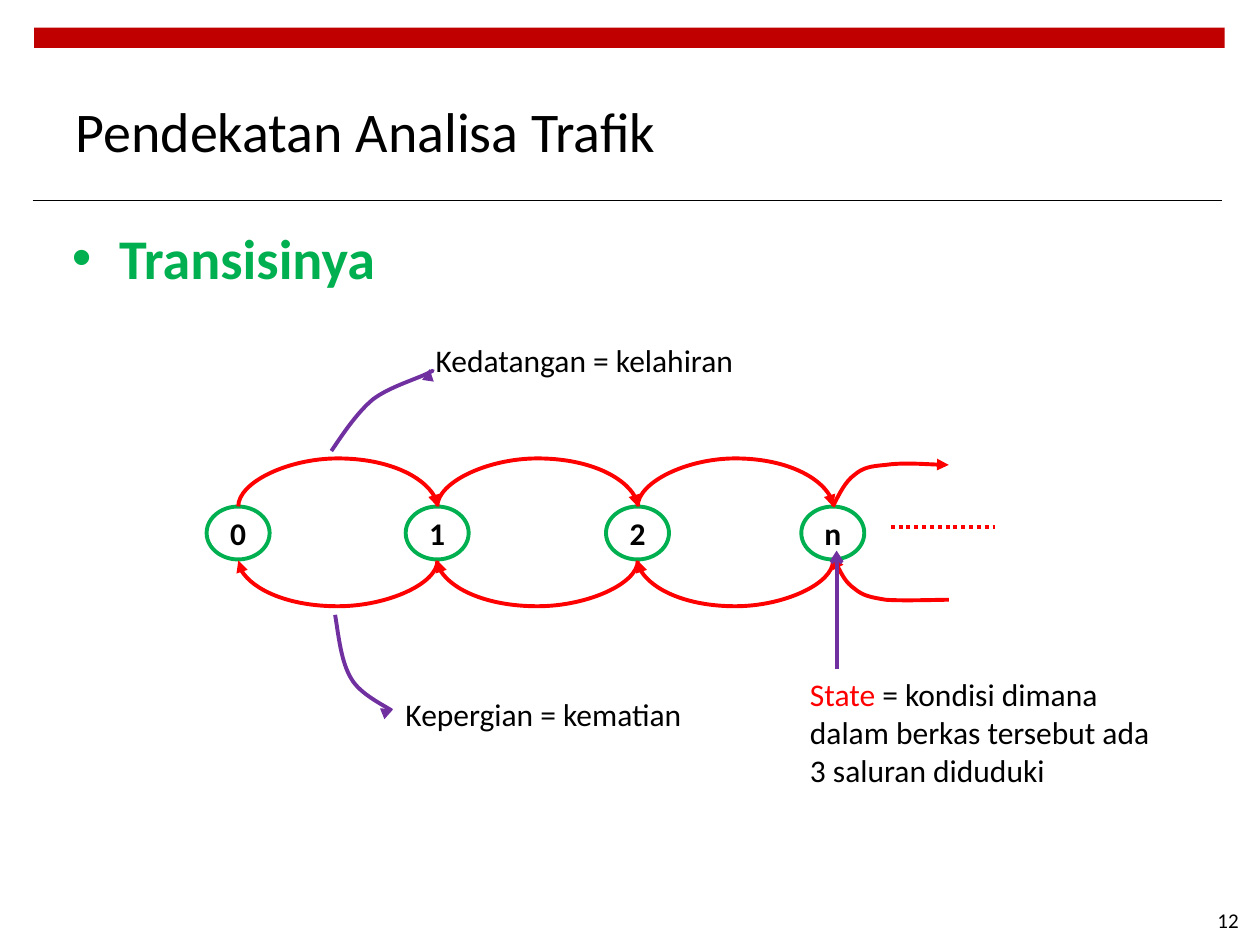
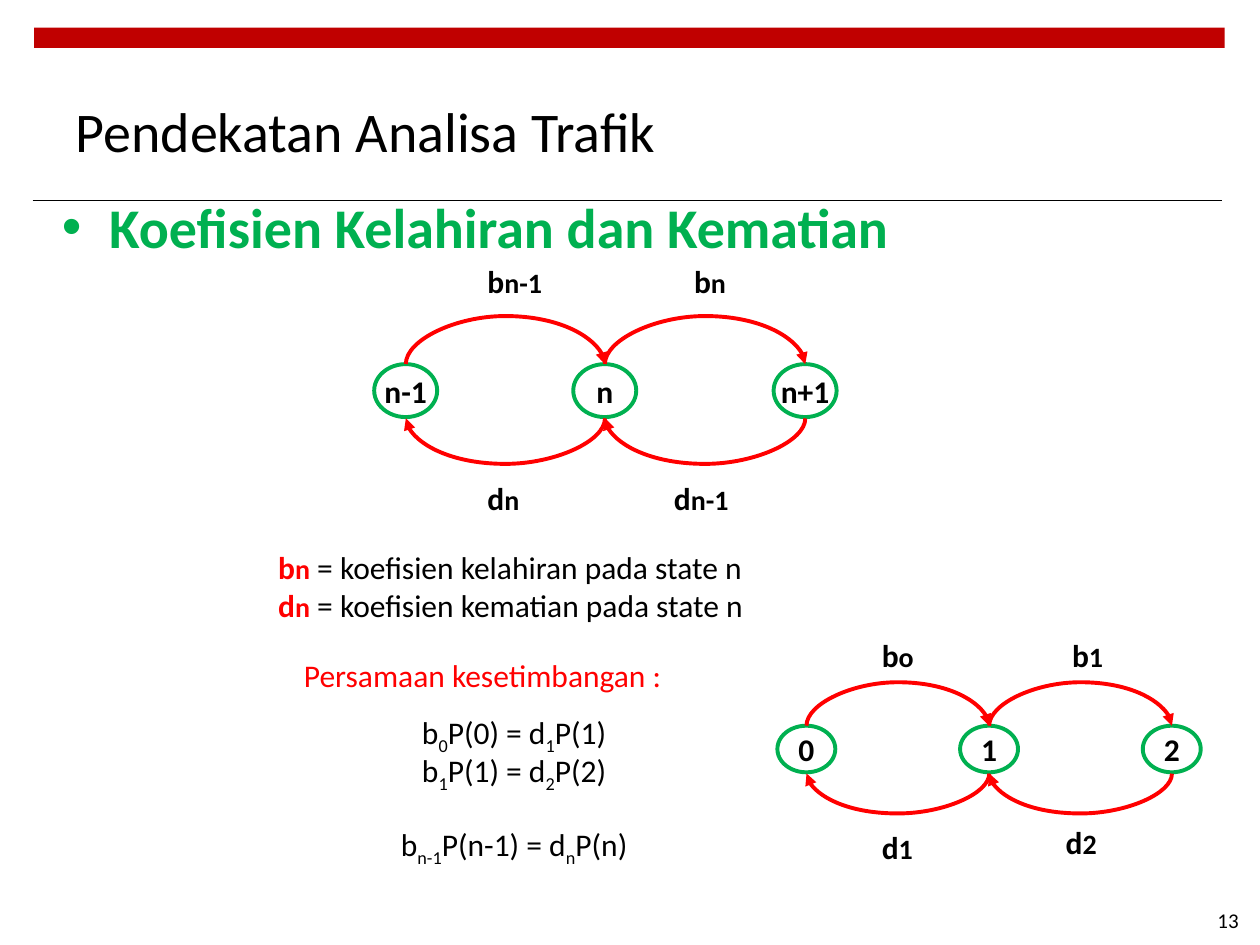
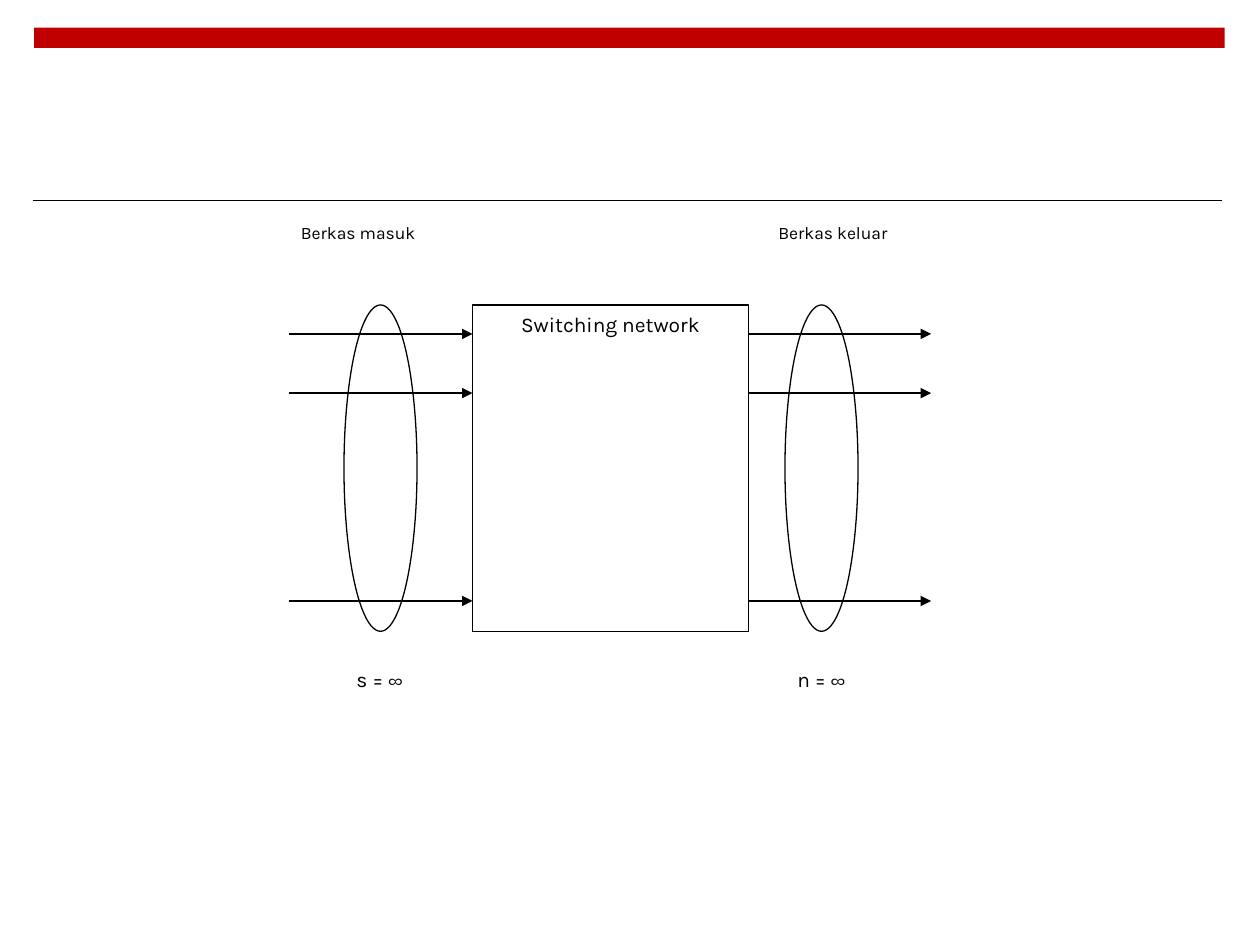
import pptx
import pptx.util
import pptx.dml.color
import pptx.enum.dml
import pptx.enum.shapes
import pptx.enum.text
import pptx.oxml
import pptx.oxml.ns
from pptx.util import Inches

COLORS = {"band": "C00000", "ink": "000000", "state": "00B050",
          "flow": "FF0000", "pointer": "7030A0", "paper": "FFFFFF"}
FONT, NETWORK_FONT = "Calibri", "Karla"
SHAPE = pptx.enum.shapes.MSO_SHAPE
CONNECTOR = pptx.enum.shapes.MSO_CONNECTOR
ALIGN = pptx.enum.text.PP_ALIGN
ANCHOR = pptx.enum.text.MSO_ANCHOR
RGB = pptx.dml.color.RGBColor.from_string
qn = pptx.oxml.ns.qn


def write(paragraph, text, size=18, color="ink", bold=False, font=FONT, subscript=False):
    run = paragraph.add_run()
    run.text = text
    run.font.name = font
    run.font.size = pptx.util.Pt(size)
    run.font.bold = bold
    run.font.color.rgb = RGB(COLORS[color])
    if subscript:
        run._r.get_or_add_rPr().set("baseline", "-25000")


def draw_line(shape, color, width, dash=None, **ends):
    """Style an outline; ends may hold headEnd and tailEnd arrow types."""
    shape.line.color.rgb = RGB(COLORS[color])
    shape.line.width = pptx.util.Pt(width)
    if dash:
        shape.line.dash_style = dash
    properties = shape._element.spPr
    for end, kind in sorted(ends.items()):
        properties.find(qn("a:ln")).makeelement(qn("a:" + end))
        arrowhead = pptx.oxml.parse_xml(
            f'<a:{end} {pptx.oxml.ns.nsdecls("a")} type="{kind}"/>')
        properties.find(qn("a:ln")).append(arrowhead)
    properties.append(properties.makeelement(qn("a:effectLst")))


deck = pptx.Presentation()
deck.slide_width, deck.slide_height = Inches(10), Inches(7.5)
content_layout, blank_layout = deck.slide_layouts[1], deck.slide_layouts[6]
transitions = deck.slides.add_slide(content_layout)
coefficients = deck.slides.add_slide(content_layout)
network = deck.slides.add_slide(blank_layout)

# Red band and title rule, moved to the master so every slide shows them
band = transitions.shapes.add_shape(
    SHAPE.RECTANGLE, Inches(0.27), Inches(0.22), Inches(9.45), Inches(0.16))
band.fill.solid()
band.fill.fore_color.rgb = RGB(COLORS["band"])
band.line.fill.background()
band.shadow.inherit = False
rule = transitions.shapes.add_connector(
    CONNECTOR.STRAIGHT, Inches(0.26), Inches(1.59), Inches(9.7), Inches(1.59))
draw_line(rule, "ink", 0.6)
for position, part in enumerate((band, rule), start=2):
    deck.slide_master.shapes._spTree.insert(position, part._element)

# Titles, headings and page numbers
for slide, heading, left, top, height, page in (
        (transitions, "Transisinya", 0.47, 1.72, 5.23, "12"),
        (coefficients, "Koefisien Kelahiran dan Kematian", 0.39, 1.48, 5.39, "13")):
    title = slide.shapes.title
    title.left, title.top = Inches(0.5), Inches(0.52)
    title.width, title.height = Inches(6.66), Inches(1.03)
    title.text_frame.vertical_anchor = ANCHOR.MIDDLE
    title.text_frame.paragraphs[0].alignment = ALIGN.LEFT
    write(title.text_frame.paragraphs[0], "Pendekatan Analisa Trafik", 32)

    body = slide.placeholders[1]
    body.left, body.top = Inches(left), Inches(top)
    body.width, body.height = Inches(9), Inches(height)
    body.text_frame.paragraphs[0].space_before = pptx.util.Pt(0)
    write(body.text_frame.paragraphs[0], heading, 32, "state", True)

    number = slide.shapes.add_textbox(Inches(7.6), Inches(7.1), Inches(2.33), Inches(0.4))
    number.text_frame.word_wrap = True
    number.text_frame.vertical_anchor = ANCHOR.MIDDLE
    number.text_frame.paragraphs[0].alignment = ALIGN.RIGHT
    write(number.text_frame.paragraphs[0], page, 12)

# State chains: ellipses with birth arcs above and death arcs below
ARC_THICKNESS = 1588  # EMU; the arc's depth is a multiple of this
for slide, states, lefts, top, width, height, rise, drop in (
        (transitions, "0 1 2 n", (1.64, 3.22, 4.81, 6.36), 4.02, 0.5, 0.42, 0.42, 0.4),
        (coefficients, "n-1 n n+1", (2.97, 4.55, 6.14), 2.89, 0.5, 0.42, 0.42, 0.4),
        (coefficients, "0 1 2", (6.17, 7.62, 9.07), 5.76, 0.46, 0.37, 0.38, 0.35)):
    chain = slide.shapes.add_group_shape()
    for label, left in zip(states.split(), lefts):
        state = chain.shapes.add_shape(
            SHAPE.OVAL, Inches(left), Inches(top), Inches(width), Inches(height))
        state.fill.background()
        draw_line(state, "state", 2.25)
        state.text_frame.word_wrap = False
        state.text_frame.vertical_anchor = ANCHOR.MIDDLE
        state.text_frame.paragraphs[0].alignment = ALIGN.CENTER
        write(state.text_frame.paragraphs[0], label, bold=True)

    for left, next_left in zip(lefts, lefts[1:]):
        middle = Inches((left + next_left + width) / 2)
        half = Inches((next_left - left) / 2)
        birth_y, death_y = Inches(top), Inches(top + height + 0.01)
        birth = chain.shapes.add_connector(
            CONNECTOR.CURVE, middle, birth_y + half, middle + ARC_THICKNESS, birth_y - half)
        death = chain.shapes.add_connector(
            CONNECTOR.CURVE, middle + ARC_THICKNESS, death_y - half, middle, death_y + half)
        draw_line(birth, "flow", 2.25, tailEnd="triangle")
        draw_line(death, "flow", 2.25, headEnd="triangle")
        for arc, degrees, depth in ((birth, 90, -rise), (death, 270, drop)):
            arc._element.spPr.find(qn("a:xfrm")).set("rot", str(degrees * 60000))
            adjustments = arc._element.spPr.find(qn("a:prstGeom")).find(qn("a:avLst"))
            bend = adjustments.makeelement(qn("a:gd"))
            bend.set("name", "adj1")
            bend.set("fmla", f"val {round(Inches(depth) / ARC_THICKNESS * 100000)}")
            adjustments.append(bend)

# Open arcs at state n and pointers to the captions, as Bezier points
for color, ends, points in (
        ("flow", {"tailEnd": "triangle"},
         ((6.61, 4.02), (6.66, 3.92), (6.71, 3.82), (6.78, 3.77), (6.85, 3.71),
          (6.91, 3.7), (7.03, 3.69), (7.16, 3.67), (7.45, 3.69), (7.53, 3.69))),
        ("flow", {"headEnd": "triangle"},
         ((6.61, 4.42), (6.66, 4.52), (6.71, 4.62), (6.78, 4.67), (6.85, 4.73),
          (6.91, 4.74), (7.03, 4.76), (7.16, 4.77), (7.45, 4.76), (7.53, 4.76))),
        ("pointer", {"tailEnd": "triangle"},
         ((2.66, 4.88), (2.69, 5.07), (2.71, 5.26), (2.79, 5.39), (2.86, 5.51),
          (3.05, 5.6), (3.11, 5.64), (3.17, 5.68), (3.15, 5.65), (3.12, 5.63))),
        ("pointer", {"tailEnd": "triangle"},
         ((2.63, 3.58), (2.73, 3.43), (2.84, 3.27), (2.96, 3.17), (3.09, 3.07),
          (3.33, 3), (3.4, 2.96), (3.48, 2.92), (3.45, 2.93), (3.41, 2.93)))):
    start, *others = [(Inches(x), Inches(y)) for x, y in points]
    outline = transitions.shapes.build_freeform(*start)
    outline.add_line_segments(others, close=False)
    curve = outline.convert_to_shape()
    curve.fill.background()
    draw_line(curve, color, 2.25, **ends)
    # Every three straight segments become one cubic segment
    segments = list(curve._element.iter(qn("a:lnTo")))
    for first in range(0, len(segments), 3):
        cubic = segments[first].makeelement(qn("a:cubicBezTo"))
        segments[first].addprevious(cubic)
        for segment in segments[first:first + 3]:
            cubic.append(segment[0])
            segment.getparent().remove(segment)

dots = transitions.shapes.add_connector(
    CONNECTOR.STRAIGHT, Inches(7.07), Inches(4.18), Inches(7.9), Inches(4.18))
draw_line(dots, "flow", 2.25, pptx.enum.dml.MSO_LINE.ROUND_DOT)
state_pointer = transitions.shapes.add_connector(
    CONNECTOR.STRAIGHT, Inches(6.64), Inches(5.31), Inches(6.64), Inches(4.37))
draw_line(state_pointer, "pointer", 2.25, tailEnd="arrow")

# Captions and coefficient labels: paragraphs of (text, size, colour, bold)
for slide, left, top, width, height, wrap, lines in (
        (transitions, 3.12, 5.47, 2.66, 0.4, False, [[("Kepergian = kematian",)]]),
        (transitions, 3.36, 2.66, 2.87, 0.4, False, [[("Kedatangan = kelahiran",)]]),
        (transitions, 6.33, 5.31, 2.97, 1.01, True,
         [[("State ", 18, "flow"),
           ("= kondisi dimana dalam berkas tersebut ada 3 saluran diduduki",)]]),
        (coefficients, 2.11, 4.3, 6.33, 0.71, True,
         [[(letter, 18, "flow", True), ("n", 16, "flow", True), (" ", 18, "flow", True),
           (f"= koefisien {event} pada state n",)]
          for letter, event in (("b", "kelahiran"), ("d", "kematian"))]),
        *((coefficients, left, top, width, 0.4, False,
           [[(letter, 18, "ink", True), (index, 16, "ink", True)]])
          for letter, index, left, top, width in (
              ("b", "n-1", 3.77, 2.03, 0.69), ("b", "n", 5.41, 2.03, 0.49),
              ("d", "n-1", 5.25, 3.75, 0.69), ("d", "n", 3.77, 3.75, 0.49),
              ("b", "o", 6.9, 5, 0.49), ("b", "1", 8.41, 5, 0.48),
              ("d", "2", 8.36, 6.48, 0.48), ("d", "1", 6.9, 6.52, 0.48)))):
    caption = slide.shapes.add_textbox(
        Inches(left), Inches(top), Inches(width), Inches(height)).text_frame
    caption.word_wrap = wrap
    caption.auto_size = pptx.enum.text.MSO_AUTO_SIZE.SHAPE_TO_FIT_TEXT
    for row, runs in enumerate(lines):
        paragraph = caption.add_paragraph() if row else caption.paragraphs[0]
        for run in runs:
            write(paragraph, *run)

# Balance equations
balance = coefficients.shapes.add_textbox(
    Inches(1.72), Inches(5.16), Inches(4.22), Inches(2.19)).text_frame
balance.word_wrap = True
balance.paragraphs[0].alignment = ALIGN.CENTER
write(balance.paragraphs[0], "Persamaan kesetimbangan :", color="flow")
for gap, birth_index, before, death_index, after in (
        (11, "0", "P(0) = d", "1", "P(1)"),
        (0, "1", "P(1) = d", "2", "P(2)"),
        (20, "n-1", "P(n-1) = d", "n", "P(n)")):
    equation = balance.add_paragraph()
    equation.alignment = ALIGN.CENTER
    equation.level = 1
    equation._p.get_or_add_pPr().set("marL", str(Inches(0.5)))
    equation.line_spacing = 0.9
    equation.space_before = pptx.util.Pt(gap)
    write(equation, "b")
    write(equation, birth_index, subscript=True)
    write(equation, before)
    write(equation, death_index, subscript=True)
    write(equation, after)

# Switching network: bundles, box and labels
for kind, left, top, width, height, outlined, align, size, label in (
        (SHAPE.RECTANGLE, 2.29, 1.71, 1.46, 0.71, False, ALIGN.LEFT, 10, "Berkas masuk"),
        (SHAPE.RECTANGLE, 6.08, 1.71, 1.46, 0.71, False, ALIGN.LEFT, 10, "Berkas keluar"),
        (SHAPE.OVAL, 6.23, 2.42, 0.58, 2.59, True, ALIGN.CENTER, 12, ""),
        (SHAPE.OVAL, 2.73, 2.42, 0.58, 2.59, True, ALIGN.CENTER, 12, ""),
        (SHAPE.RECTANGLE, 3.75, 2.42, 2.19, 2.59, True, ALIGN.CENTER, 12,
         "Switching network"),
        (SHAPE.RECTANGLE, 2.73, 5.24, 0.73, 0.71, False, ALIGN.LEFT, 12, "s = ∞"),
        (SHAPE.RECTANGLE, 6.23, 5.24, 0.73, 0.71, False, ALIGN.LEFT, 12, "n = ∞")):
    block = network.shapes.add_shape(
        kind, Inches(left), Inches(top), Inches(width), Inches(height))
    block.fill.solid()
    block.fill.fore_color.rgb = RGB(COLORS["paper"])
    if outlined:
        draw_line(block, "ink", 0.75)
    else:
        block.line.fill.background()
        block.shadow.inherit = False
    if label:
        block.text_frame.vertical_anchor = ANCHOR.TOP
        block.text_frame.paragraphs[0].alignment = align
        write(block.text_frame.paragraphs[0], label, size, font=NETWORK_FONT)

# Incoming and outgoing channels
for channel_y in (2.65, 3.12, 4.77):
    for start_x, end_x in ((2.29, 3.75), (5.94, 7.39)):
        channel = network.shapes.add_connector(
            CONNECTOR.STRAIGHT, Inches(start_x), Inches(channel_y),
            Inches(end_x), Inches(channel_y))
        draw_line(channel, "ink", 0.75, tailEnd="triangle")

deck.save("out.pptx")
